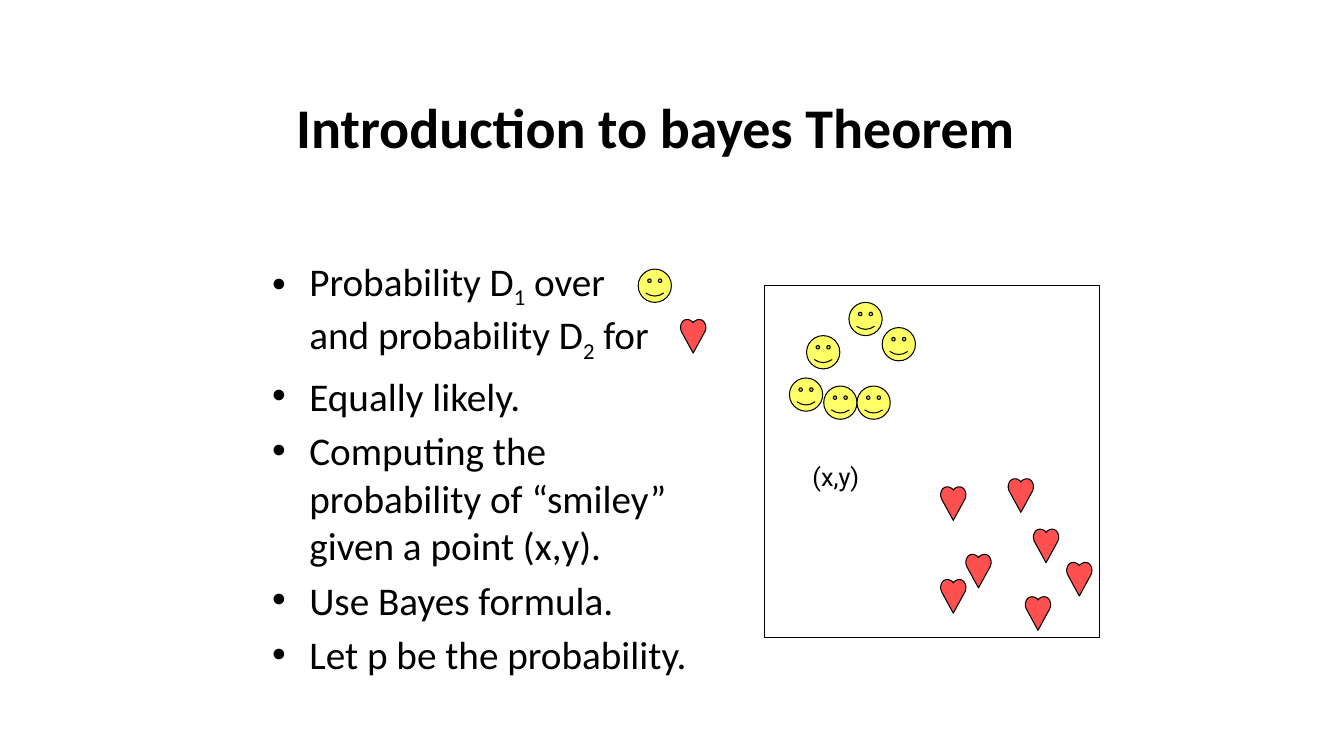
from lxml.etree import SubElement
from pptx import Presentation
from pptx.dml.color import RGBColor
from pptx.enum.shapes import MSO_SHAPE
from pptx.enum.text import MSO_ANCHOR, MSO_AUTO_SIZE, PP_ALIGN
from pptx.oxml.ns import qn
from pptx.util import Inches, Pt

COLORS = {"black": "000000", "smiley": "FFFF66", "heart": "FF5050"}
MARK_SIZE = 0.33
HEART_WIDTH = 0.25

# Left half of the heart, from the notch down to the tip
HEART_HALF = [
    (0.125, 0.033), (0.115, 0.02), (0.1, 0.01), (0.082, 0.002), (0.063, 0),
    (0.04, 0.005), (0.02, 0.02), (0.007, 0.042), (0, 0.067), (0, 0.09),
    (0.007, 0.117), (0.125, 0.333),
]

# A run is (text, is subscript)
BULLETS = [
    [("Probability D", False), ("1", True), (" over\vand probability D", False),
     ("2", True), (" for", False)],
    [("Equally likely.", False)],
    [("Computing the probability of “smiley” given a point (x,y).", False)],
    [("Use Bayes formula.", False)],
    [("Let p be the probability.", False)],
]

SMILEYS = [(8, 3.33), (8.17, 3.83), (8.75, 3.25), (8.5, 3.83), (7.83, 3.75),
           (8.42, 3), (6.33, 2.67)]
HEARTS = [(10.25, 5.25), (10.17, 5.92), (10.58, 5.58), (9.58, 5.5),
          (9.33, 4.83), (9.33, 5.75), (10, 4.75), (6.75, 3.17)]


def color(name):
    return RGBColor.from_string(COLORS[name])


def format_font(font, **values):
    font.color.rgb = color("black")
    for name, value in values.items():
        setattr(font, name, value)


def place(shape, left, top, width, height):
    box = {"left": left, "top": top, "width": width, "height": height}
    for name, value in box.items():
        setattr(shape, name, Inches(value))


def style_shape(shape, fill=None):
    shape.shadow.inherit = False
    if fill:
        shape.fill.solid()
        shape.fill.fore_color.rgb = color(fill)
    else:
        shape.fill.background()
    shape.line.color.rgb = color("black")
    shape.line.width = Pt(0.75)


def add_preset(slide, preset, left, top, width, height, fill=None):
    shape = slide.shapes.add_shape(
        preset, Inches(left), Inches(top), Inches(width), Inches(height))
    style_shape(shape, fill)


def add_heart(slide, left, top):
    right_half = [(HEART_WIDTH - x, y) for x, y in HEART_HALF[-2:0:-1]]
    points = [(Inches(left + x), Inches(top + y))
              for x, y in HEART_HALF + right_half]
    builder = slide.shapes.build_freeform(*points[0])
    builder.add_line_segments(points[1:], close=True)
    style_shape(builder.convert_to_shape(), "heart")


def set_bullet(paragraph):
    properties = paragraph._p.get_or_add_pPr()
    properties.set("marL", str(Inches(0.38)))
    properties.set("indent", str(Inches(-0.37)))
    bullet_color = SubElement(properties, qn("a:buClr"))
    SubElement(bullet_color, qn("a:srgbClr"), val=COLORS["black"])
    SubElement(properties, qn("a:buFont"), typeface="Arial")
    SubElement(properties, qn("a:buChar"), char="•")


def add_title(slide):
    title = slide.shapes.title
    place(title, 0.7, 0.54, 11.6, 1.42)
    frame = title.text_frame
    frame.text = "Introduction to bayes Theorem"
    frame.auto_size = MSO_AUTO_SIZE.NONE
    frame.vertical_anchor = MSO_ANCHOR.MIDDLE
    paragraph = frame.paragraphs[0]
    paragraph.alignment = PP_ALIGN.CENTER
    format_font(paragraph.runs[0].font, name="Calibri", size=Pt(40), bold=True)


def add_bullets(slide):
    frame = slide.shapes.add_textbox(
        Inches(2.59), Inches(2.5), Inches(4.42), Inches(4.5)).text_frame
    frame.word_wrap = True
    for index, pieces in enumerate(BULLETS):
        paragraph = frame.add_paragraph() if index else frame.paragraphs[0]
        set_bullet(paragraph)
        paragraph.space_before = Pt(5.6 if index else 0)
        for text, subscript in pieces:
            for part_index, part in enumerate(text.split("\v")):
                if part_index:
                    paragraph.add_line_break()
                run = paragraph.add_run()
                run.text = part
                format_font(run.font, name="Calibri", size=Pt(28))
                if subscript:
                    run._r.get_or_add_rPr().set("baseline", "-25000")


def add_point_label(slide):
    frame = slide.shapes.add_textbox(
        Inches(7.96), Inches(4.53), Inches(0.77), Inches(0.4)).text_frame
    frame.word_wrap = False
    run = frame.paragraphs[0].add_run()
    run.text = "(x,y)"
    format_font(run.font, name="Roboto", size=Pt(18))


def main():
    presentation = Presentation()
    presentation.slide_width = Inches(13.33)
    presentation.slide_height = Inches(7.5)
    slide = presentation.slides.add_slide(presentation.slide_layouts[5])
    add_title(slide)
    add_bullets(slide)
    add_preset(slide, MSO_SHAPE.RECTANGLE, 7.58, 2.83, 3.33, 3.5)
    for left, top in SMILEYS:
        add_preset(slide, MSO_SHAPE.SMILEY_FACE, left, top,
                   MARK_SIZE, MARK_SIZE, "smiley")
    for left, top in HEARTS:
        add_heart(slide, left, top)
    add_point_label(slide)
    presentation.save("out.pptx")


if __name__ == "__main__":
    main()
